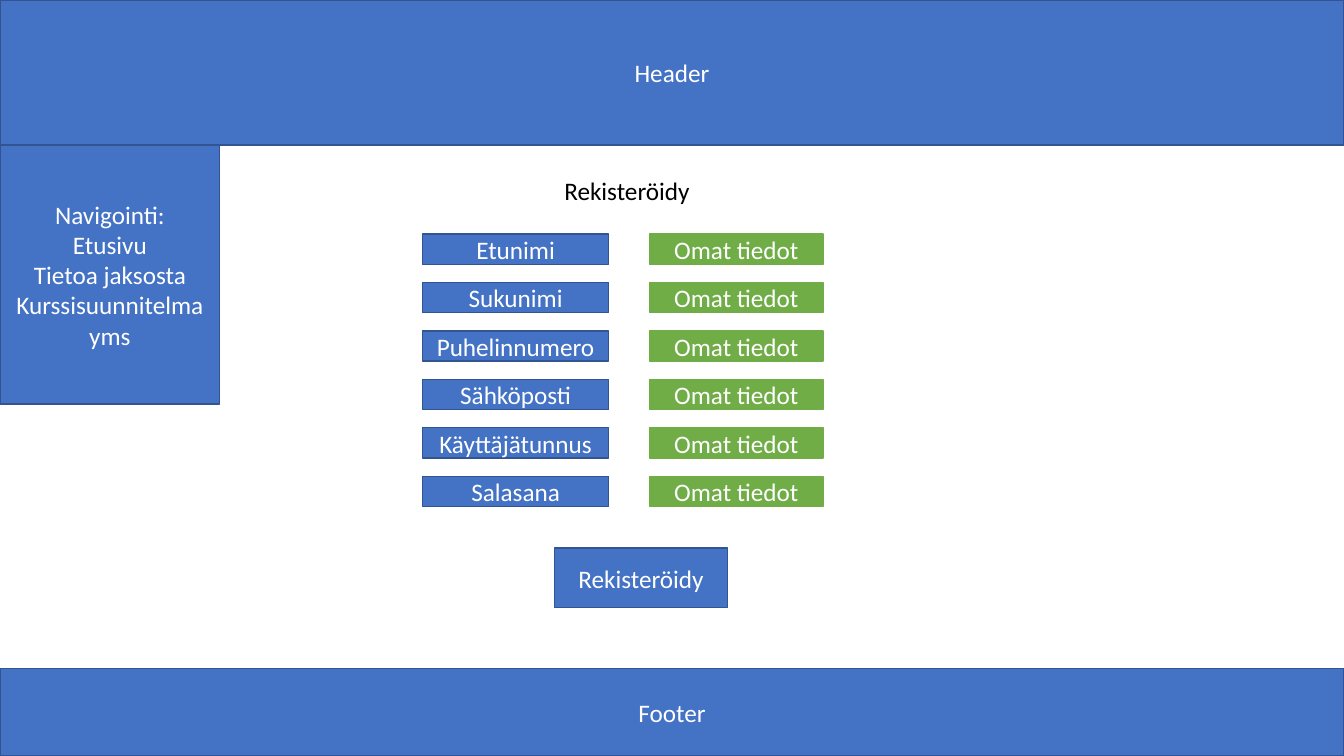
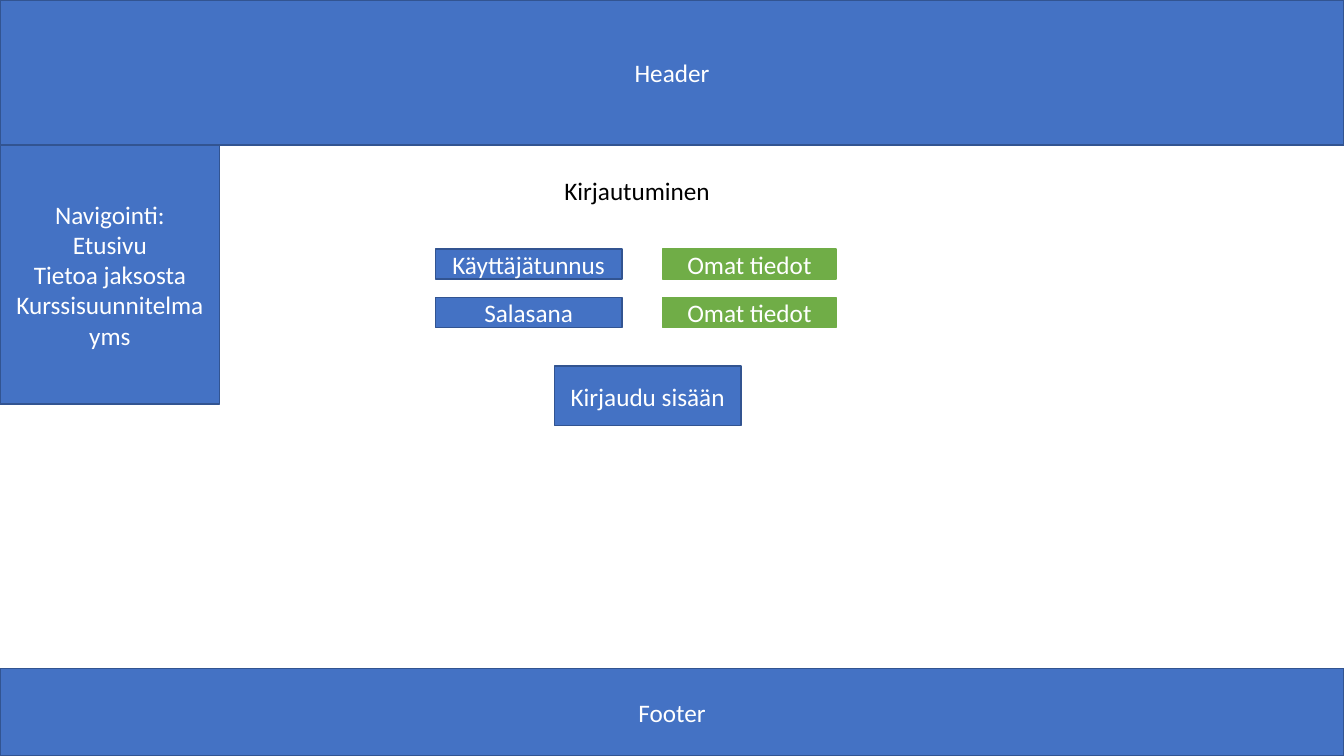
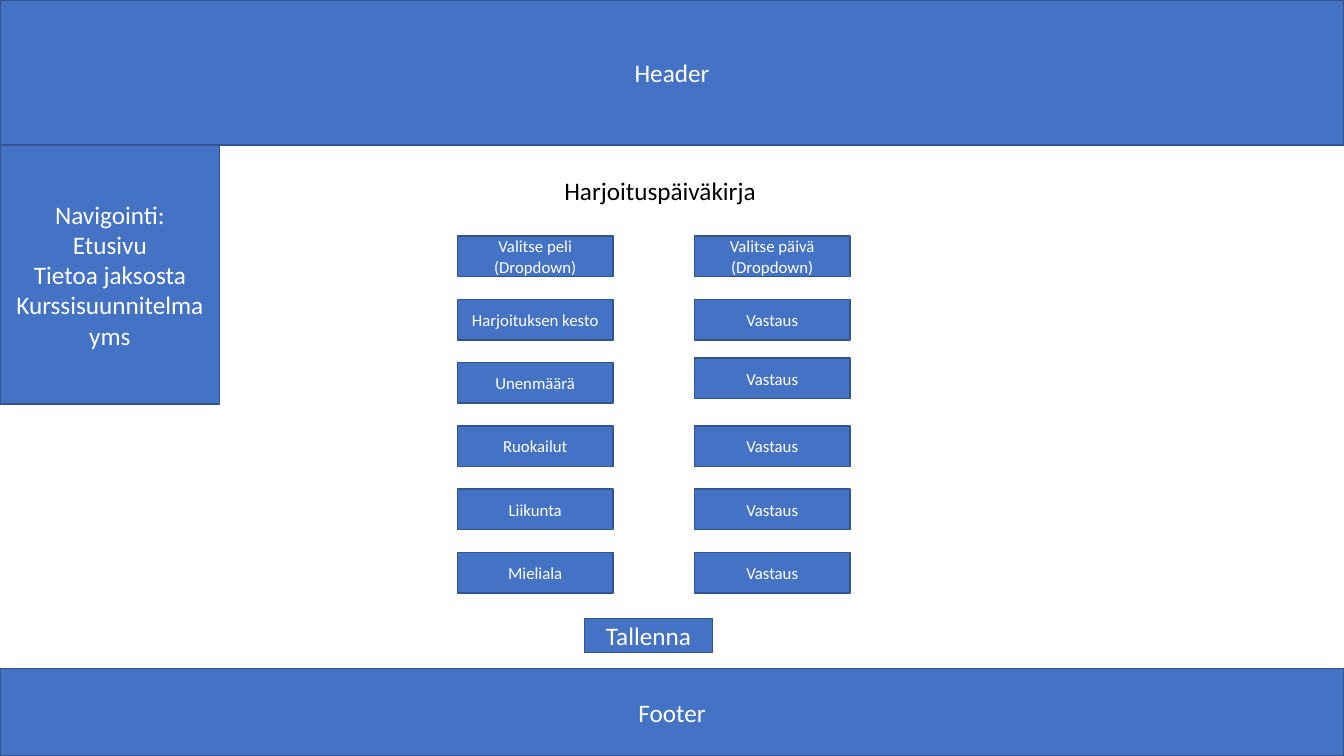
from pptx import Presentation
from pptx.dml.color import RGBColor
from pptx.enum import shapes, text
from pptx.util import Pt

COLORS = {
    "blue": "4472C4",
    "blue_edge": "325491",
    "green": "70AD47",
    "white": "FFFFFF",
    "black": "000000",
}
FONT = "Calibri"
WIDTH, HEIGHT = 960, 540
HEADER_HEIGHT, FOOTER_HEIGHT = 103.7, 62.6
NAVIGATION = ["Navigointi:", "Etusivu", "Tietoa jaksosta", "Kurssisuunnitelma", "yms"]
ACTION_LEFT = 396


def color(name):
    """Return the named palette colour."""
    return RGBColor.from_string(COLORS[name])


def write(frame, lines, size=18, ink="white", align=text.PP_ALIGN.CENTER,
          anchor=text.MSO_ANCHOR.MIDDLE):
    """Write one paragraph per line into a text frame."""
    frame.word_wrap = True
    frame.vertical_anchor = anchor
    for index, line in enumerate(lines):
        paragraph = frame.add_paragraph() if index else frame.paragraphs[0]
        paragraph.alignment = align
        run = paragraph.add_run()
        run.text = line
        run.font.name = FONT
        run.font.size = Pt(size)
        run.font.color.rgb = color(ink)


def add_box(slide, lines, left, top, width, height, fill="blue",
            edge="blue_edge", size=18):
    """Add an outlined rectangle with centred text."""
    shape = slide.shapes.add_shape(
        shapes.MSO_SHAPE.RECTANGLE, Pt(left), Pt(top), Pt(width), Pt(height))
    shape.shadow.inherit = False
    shape.fill.solid()
    shape.fill.fore_color.rgb = color(fill)
    shape.line.color.rgb = color(edge)
    shape.line.width = Pt(1)
    write(shape.text_frame, lines, size=size)


def add_column(slide, labels, left, top, width, height, pitch, shifts=None, **style):
    """Stack evenly pitched boxes; shifts moves single rows by index."""
    shifts = shifts or {}
    for row, label in enumerate(labels):
        row_top = top + row * pitch + shifts.get(row, 0)
        add_box(slide, [label], left, row_top, width, height, **style)


def add_page(presentation, title):
    """Add a slide with header, navigation, footer and page title."""
    slide = presentation.slides.add_slide(presentation.slide_layouts[6])
    add_box(slide, ["Header"], 0, 0, WIDTH, HEADER_HEIGHT)
    add_box(slide, NAVIGATION, 0, HEADER_HEIGHT, 157, 185)
    add_box(slide, ["Footer"], 0, HEIGHT - FOOTER_HEIGHT, WIDTH, FOOTER_HEIGHT)
    heading = slide.shapes.add_textbox(Pt(ACTION_LEFT), Pt(121.7), Pt(206), Pt(29))
    write(heading.text_frame, [title], ink="black", align=text.PP_ALIGN.LEFT,
          anchor=text.MSO_ANCHOR.TOP)
    heading.text_frame.auto_size = text.MSO_AUTO_SIZE.SHAPE_TO_FIT_TEXT
    return slide


def add_form(slide, labels, left, top):
    """Add blue field labels with a green input beside each."""
    pitch, height = 34.6, 21.6
    add_column(slide, labels, left, top, 133.2, height, pitch)
    add_column(slide, ["Omat tiedot"] * len(labels), left + 162.4, top, 123.8,
               height, pitch, fill="green", edge="green")


def add_registration(presentation):
    """Add the registration page."""
    slide = add_page(presentation, "Rekisteröidy")
    add_form(slide, ["Etunimi", "Sukunimi", "Puhelinnumero", "Sähköposti",
                     "Käyttäjätunnus", "Salasana"], 301.7, 167.2)
    add_box(slide, ["Rekisteröidy"], ACTION_LEFT, 391.5, 123.8, 42.6)


def add_login(presentation):
    """Add the login page."""
    slide = add_page(presentation, "Kirjautuminen")
    add_form(slide, ["Käyttäjätunnus", "Salasana"], 311, 177.8)
    add_box(slide, ["Kirjaudu sisään"], ACTION_LEFT, 261.5, 133.2, 42.6)


def add_diary(presentation):
    """Add the training diary page."""
    slide = add_page(presentation, "Harjoituspäiväkirja")
    grid = {"top": 168.6, "width": 111.2, "height": 29, "pitch": 45.2, "size": 12}
    questions = ["Valitse peli (Dropdown)", "Harjoituksen kesto", "Unenmäärä",
                 "Ruokailut", "Liikunta", "Mieliala"]
    answers = ["Valitse päivä (Dropdown)"] + ["Vastaus"] * 5
    add_column(slide, questions, 326.7, **grid)
    add_column(slide, answers, 496, shifts={2: -3.3}, **grid)
    add_box(slide, ["Tallenna"], 417.4, 441.9, 91.6, 24)


def main():
    """Build and save the presentation."""
    presentation = Presentation()
    presentation.slide_width = Pt(WIDTH)
    presentation.slide_height = Pt(HEIGHT)
    add_registration(presentation)
    add_login(presentation)
    add_diary(presentation)
    presentation.save("out.pptx")


main()
